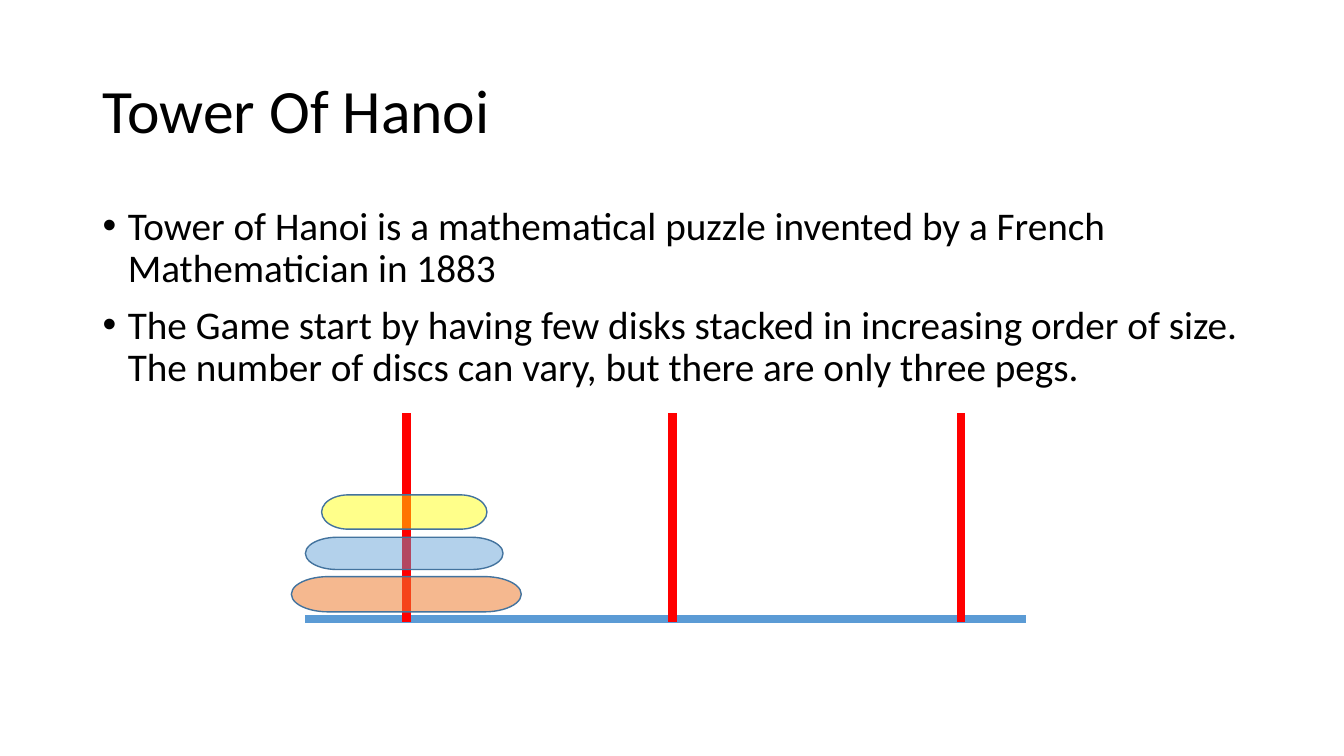
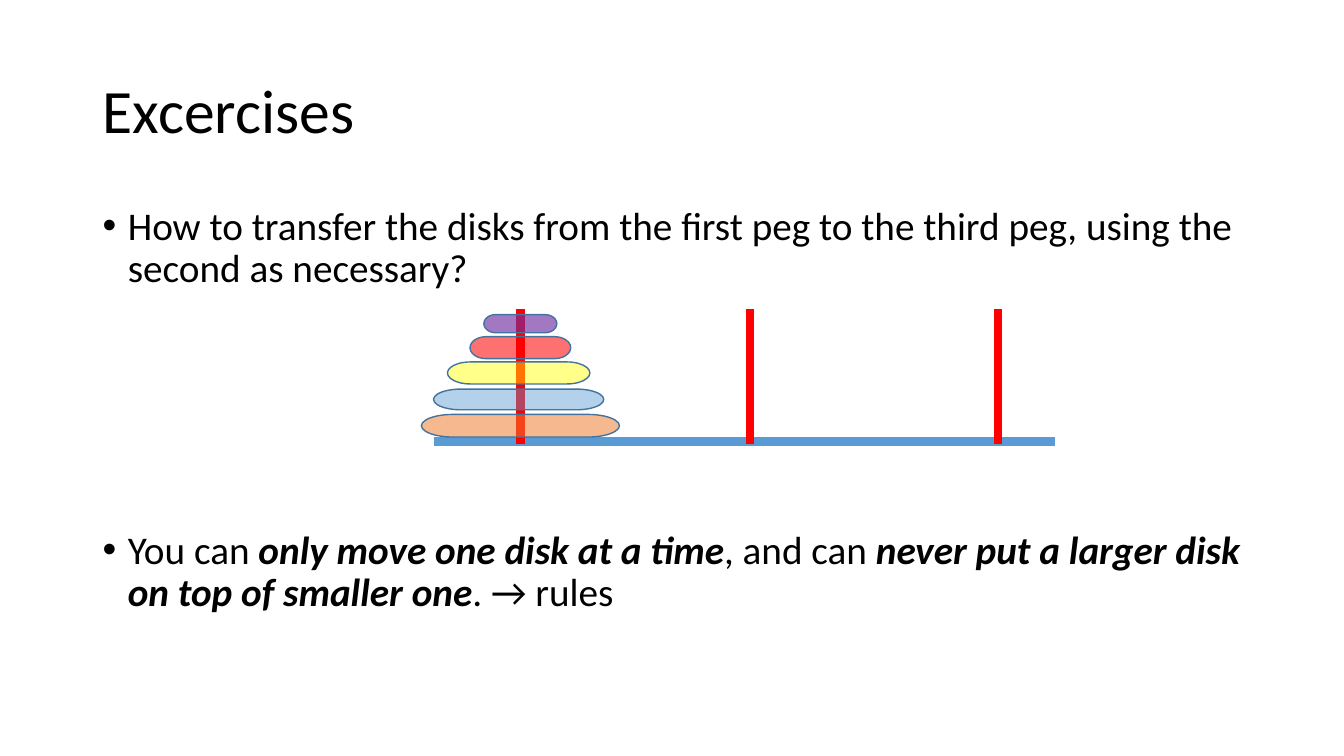
from lxml import etree
from pptx import Presentation
from pptx.dml.color import RGBColor
from pptx.enum import shapes, text
from pptx.oxml.ns import qn
from pptx.util import Inches, Pt

FONT = "Calibri"
COLORS = {
    "text": "000000", "base": "5B9BD5", "peg": "FF0000", "outline": "43739E",
    "orange": "ED7D31", "blue": "5B9BD5", "yellow": "FFFF00",
    "red": "FF0000", "purple": "7030A0",
}
TITLE_BOX = (0.92, 0.4, 11.5, 1.45)
BODY_BOX = (0.92, 2, 11.5, 4.76)

# Tower drawn at its full size; smaller towers scale from it
TOWER_SIZE = (7.15, 2.07)
BASE_Y = 2.04
PEGS = (1, 3.64, 6.5)
# Disks from the bottom up: colour, opacity in percent, left, top, width, height
DISKS = (
    ("orange", 54, -0.14, 1.62, 2.28, 0.35),
    ("blue", 46, 0, 1.23, 1.96, 0.32),
    ("yellow", 46, 0.16, 0.81, 1.64, 0.34),
    ("red", 56, 0.42, 0.42, 1.16, 0.34),
    ("purple", 65, 0.58, 0.08, 0.84, 0.28),
)


def color(name):
    return RGBColor.from_string(COLORS[name])


def add_text(para, spans, size=28, before=0, bullet=False):
    """Write (text, is_strong) spans into a paragraph."""
    para.alignment = text.PP_ALIGN.LEFT
    para.line_spacing = 0.9
    para.space_before = Pt(before)
    for words, strong in spans:
        span = para.add_run()
        span.text = words
        span.font.name = FONT
        span.font.size = Pt(size)
        span.font.color.rgb = color("text")
        span.font.bold = span.font.italic = strong
    if bullet:
        props = para._p.get_or_add_pPr()
        props.set("marL", str(Inches(0.25)))
        props.set("indent", str(-Inches(0.25)))
        etree.SubElement(props, qn("a:buFont")).set("typeface", "Arial")
        etree.SubElement(props, qn("a:buChar")).set("char", "•")


def add_title(page, words, box):
    title = page.shapes.title
    title.left, title.top, title.width, title.height = map(Inches, box)
    frame = title.text_frame
    frame.auto_size = text.MSO_AUTO_SIZE.NONE
    frame.vertical_anchor = text.MSO_ANCHOR.MIDDLE
    add_text(frame.paragraphs[0], [(words, False)], size=44)


def add_bullets(page, bullets, box, gap):
    frame = page.shapes.add_textbox(*map(Inches, box)).text_frame
    frame.word_wrap = True
    for index, spans in enumerate(bullets):
        para = frame.add_paragraph() if index else frame.paragraphs[0]
        add_text(para, spans, before=gap if index else 0, bullet=True)


def add_line(parent, start, end, name):
    line = parent.shapes.add_connector(
        shapes.MSO_CONNECTOR.STRAIGHT, *map(Inches, (*start, *end)))
    line.line.color.rgb = color(name)
    line.line.width = Pt(6)
    etree.SubElement(line._element.spPr, qn("a:effectLst"))


def add_disk(parent, box, name, opacity):
    disk = parent.shapes.add_shape(
        shapes.MSO_SHAPE.FLOWCHART_TERMINATOR, *map(Inches, box))
    disk.shadow.inherit = False
    disk.fill.solid()
    disk.fill.fore_color.rgb = color(name)
    fill = disk._element.spPr.find(qn("a:solidFill"))[0]
    etree.SubElement(fill, qn("a:alpha")).set("val", str(opacity * 1000))
    disk.line.color.rgb = color("outline")
    disk.line.width = Pt(1)


def add_tower(page, box, disk_count):
    left, top, width, height = box
    x_scale, y_scale = width / TOWER_SIZE[0], height / TOWER_SIZE[1]
    group = page.shapes.add_group_shape()

    # Base and pegs
    base_y = top + BASE_Y * y_scale
    add_line(group, (left, base_y), (left + width, base_y), "base")
    for peg in PEGS:
        x = left + peg * x_scale
        add_line(group, (x, top), (x, top + height), "peg")

    # Stacked disks
    for name, opacity, dx, dy, wide, high in DISKS[:disk_count]:
        disk_box = (left + dx * x_scale, top + dy * y_scale,
                    wide * x_scale, high * y_scale)
        add_disk(group, disk_box, name, opacity)


def add_page(deck, title, bullets, gap, tower_box, disk_count):
    page = deck.slides.add_slide(deck.slide_layouts[5])  # title only
    add_title(page, title, TITLE_BOX)
    add_bullets(page, bullets, BODY_BOX, gap)
    add_tower(page, tower_box, disk_count)


def main():
    deck = Presentation()
    deck.slide_width, deck.slide_height = Inches(13.33), Inches(7.5)

    add_page(deck, "Tower Of Hanoi", [
        [("Tower of Hanoi is a mathematical puzzle invented by a French "
          "Mathematician in 1883", False)],
        [("The Game start by having few disks stacked in increasing order of "
          "size. The number of discs can vary, but there are only three pegs.",
          False)],
    ], gap=10, tower_box=(3.03, 4.1, 7.15, 2.07), disk_count=3)

    # The wide gap leaves room for the tower between the bullets
    add_page(deck, "Excercises", [
        [("How to transfer the disks from the first peg to the third peg, "
          "using the second as necessary?", False)],
        [("You can ", False), ("only move one disk at a time", True),
         (", and can ", False),
         ("never put a larger disk on top of smaller one", True),
         (". → rules", False)],
    ], gap=171, tower_box=(4.3, 3.07, 6.16, 1.33), disk_count=5)

    deck.save("out.pptx")


if __name__ == "__main__":
    main()
